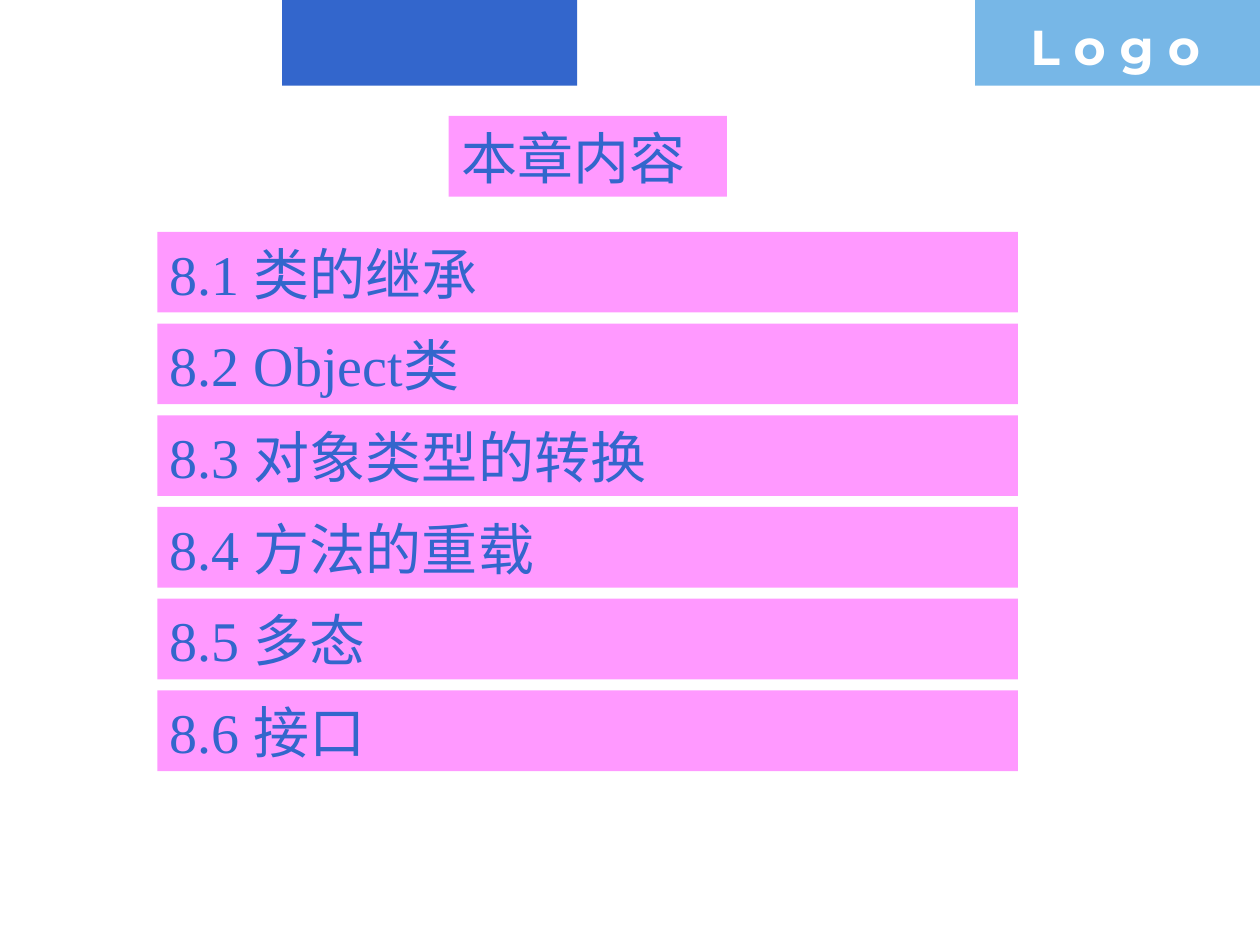
from dataclasses import dataclass

from pptx import Presentation
from pptx.dml.color import RGBColor
from pptx.enum.shapes import MSO_SHAPE
from pptx.enum.text import MSO_ANCHOR, PP_ALIGN
from pptx.util import Inches, Pt


@dataclass(frozen=True)
class Theme:
    blue: RGBColor = RGBColor(0x33, 0x66, 0xCC)
    sky: RGBColor = RGBColor(0x77, 0xB7, 0xE7)
    pink: RGBColor = RGBColor(0xFF, 0x99, 0xFF)
    white: RGBColor = RGBColor(0xFF, 0xFF, 0xFF)
    body_font: str = "Times New Roman"
    logo_font: str = "Montserrat"
    body_size: Pt = Pt(32)
    logo_size: Pt = Pt(28)


theme = Theme()


def add_block(left, top, width, height, color):
    shape = slide.shapes.add_shape(
        MSO_SHAPE.RECTANGLE, Inches(left), Inches(top), Inches(width), Inches(height))
    shape.shadow.inherit = False
    shape.fill.solid()
    shape.fill.fore_color.rgb = color
    shape.line.fill.background()
    return shape


def write(shape, text, font_name, size, color, anchor, bold=False):
    frame = shape.text_frame
    frame.text = text
    frame.word_wrap = True
    frame.vertical_anchor = anchor
    paragraph = frame.paragraphs[0]
    paragraph.alignment = PP_ALIGN.LEFT
    font = paragraph.runs[0].font
    font.name, font.size, font.bold = font_name, size, bold
    font.color.rgb = color


presentation = Presentation()
presentation.slide_width, presentation.slide_height = Inches(10), Inches(7.5)
slide = presentation.slides.add_slide(presentation.slide_layouts[5])
slide.background.fill.solid()
slide.background.fill.fore_color.rgb = theme.white

# Header band
HEADER_HEIGHT = 0.68
add_block(2.24, 0, 2.34, HEADER_HEIGHT, theme.blue)
add_block(7.74, 0, 2.26, HEADER_HEIGHT, theme.sky)
logo = slide.shapes.add_textbox(Inches(8.08), Inches(0.08), Inches(1.93), Inches(0.57))
write(logo, "L o g o", theme.logo_font, theme.logo_size, theme.white,
      MSO_ANCHOR.TOP, bold=True)

# Title
ROW_HEIGHT = 0.64
title = slide.shapes.title
title.left, title.top = Inches(3.56), Inches(0.92)
title.width, title.height = Inches(2.21), Inches(ROW_HEIGHT)
title.fill.solid()
title.fill.fore_color.rgb = theme.pink
write(title, "本章内容", theme.body_font, theme.body_size, theme.blue, MSO_ANCHOR.BOTTOM)

# Chapter sections, evenly spaced between the first and last row
sections = ["类的继承", "Object类", "对象类型的转换", "方法的重载", "多态", "接口"]
FIRST_TOP, LAST_TOP = 1.84, 5.48
row_pitch = (LAST_TOP - FIRST_TOP) / (len(sections) - 1)
for index, name in enumerate(sections):
    row = add_block(1.25, FIRST_TOP + index * row_pitch, 6.83, ROW_HEIGHT, theme.pink)
    write(row, f"8.{index + 1} {name}", theme.body_font, theme.body_size, theme.blue,
          MSO_ANCHOR.BOTTOM)

presentation.save("out.pptx")
